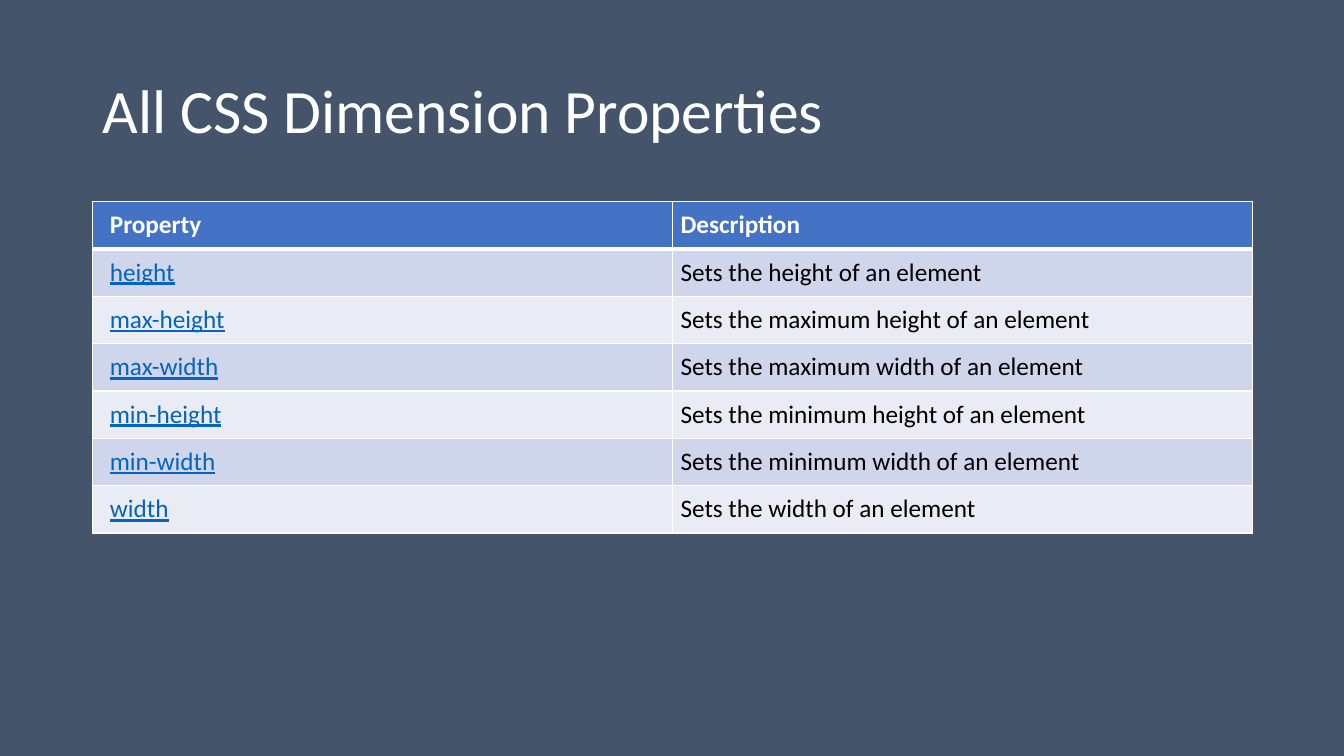
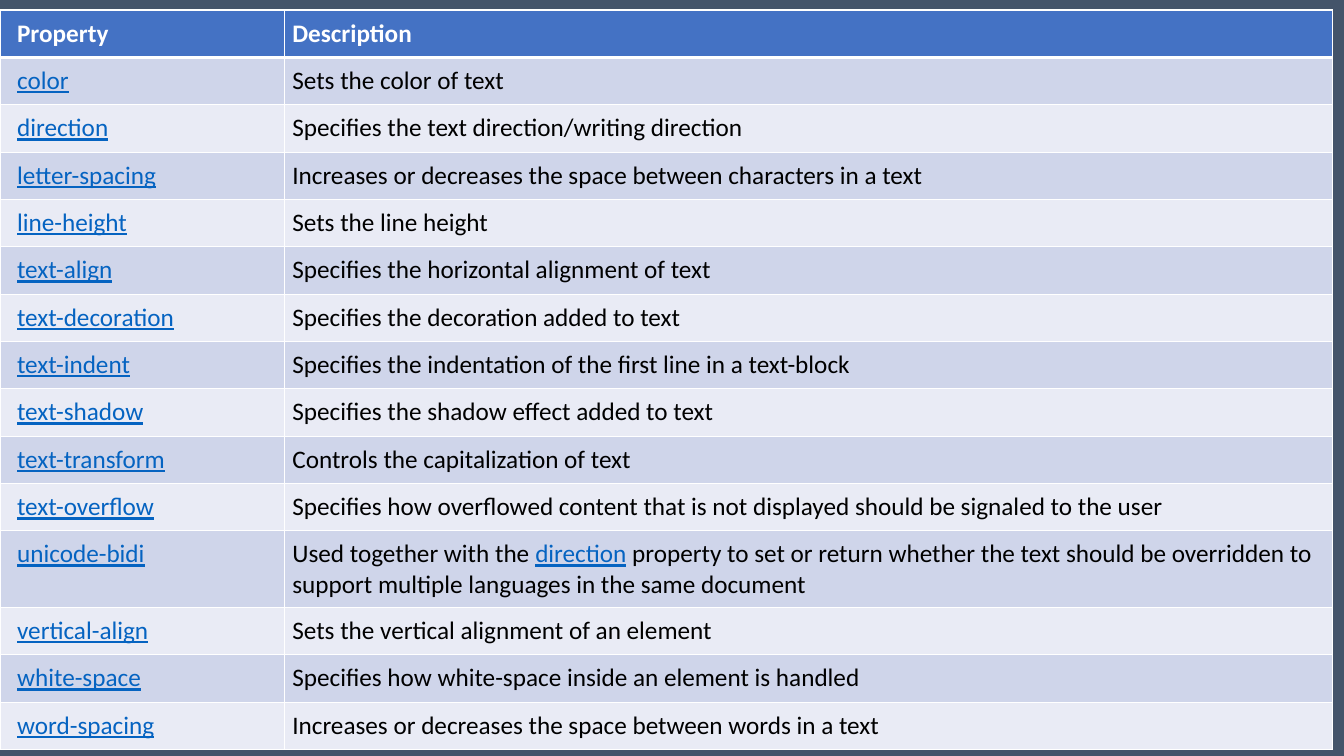
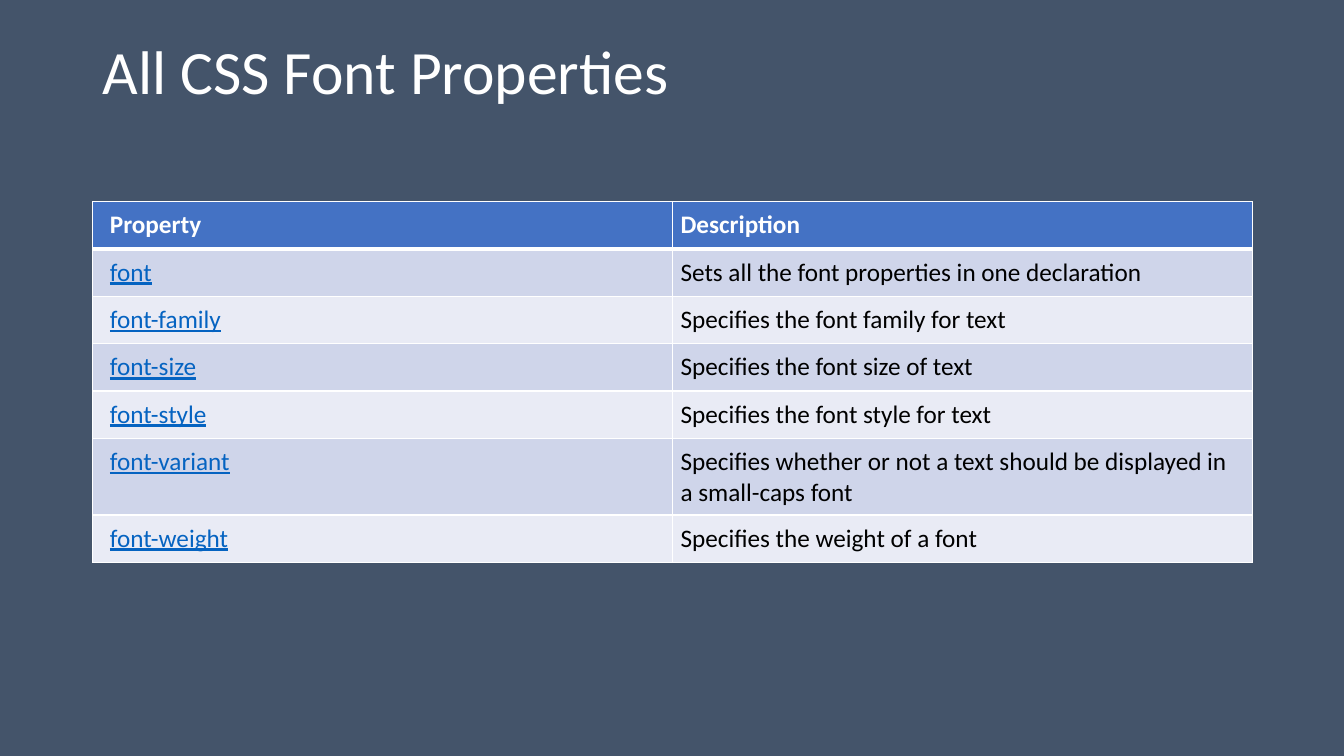
"""Build three slides of CSS property tables."""
import pptx
import pptx.dml.color
import pptx.enum.text
import pptx.oxml
import pptx.oxml.ns
import pptx.util

Inches, Pt = pptx.util.Inches, pptx.util.Pt
ANCHOR = pptx.enum.text.MSO_ANCHOR

FONT = "Calibri"
BACK, HEAD, BANDS = "44546A", "4472C4", ("CFD5EA", "E9EBF5")
WHITE, BLACK, LINK = "FFFFFF", "000000", "0563C1"
ROW, PAD, INDENT = 0.47, 0.08, 0.17
THIN, THICK = 1, 3
HEADER = ("Property", "Description")
WIDE = {"left": 0.92, "top": 2, "cols": (5.75, 5.75)}
FULL = {"left": 0, "top": 0.1, "cols": (2.82, 10.4)}

SLIDES = [
    {
        "title": "All CSS Dimension Properties",
        "anchor": ANCHOR.MIDDLE,
        "inset": 0.05,
        "grid": WIDE,
        "rows": [
            ("height", "Sets the height of an element"),
            ("max-height", "Sets the maximum height of an element"),
            ("max-width", "Sets the maximum width of an element"),
            ("min-height", "Sets the minimum height of an element"),
            ("min-width", "Sets the minimum width of an element"),
            ("width", "Sets the width of an element"),
        ],
    },
    {
        "grid": FULL,
        "rows": [
            ("color", "Sets the color of text"),
            ("direction", "Specifies the text direction/writing direction"),
            ("letter-spacing", "Increases or decreases the space between characters in a text"),
            ("line-height", "Sets the line height"),
            ("text-align", "Specifies the horizontal alignment of text"),
            ("text-decoration", "Specifies the decoration added to text"),
            ("text-indent", "Specifies the indentation of the first line in a text-block"),
            ("text-shadow", "Specifies the shadow effect added to text"),
            ("text-transform", "Controls the capitalization of text"),
            ("text-overflow", "Specifies how overflowed content that is not displayed "
                              "should be signaled to the user"),
            ("unicode-bidi", "Used together with the |direction| property to set or return "
                             "whether the text should be overridden to support multiple "
                             "languages in the same document"),
            ("vertical-align", "Sets the vertical alignment of an element"),
            ("white-space", "Specifies how white-space inside an element is handled"),
            ("word-spacing", "Increases or decreases the space between words in a text"),
        ],
    },
    {
        "title": "All CSS Font Properties",
        "anchor": ANCHOR.TOP,
        "inset": 0.01,
        "grid": WIDE,
        "rows": [
            ("font", "Sets all the font properties in one declaration"),
            ("font-family", "Specifies the font family for text"),
            ("font-size", "Specifies the font size of text"),
            ("font-style", "Specifies the font style for text"),
            ("font-variant", "Specifies whether or not a text should be displayed in "
                             "a small-caps font"),
            ("font-weight", "Specifies the weight of a font"),
        ],
    },
]


def paint(fill, color):
    fill.solid()
    fill.fore_color.rgb = pptx.dml.color.RGBColor.from_string(color)


def write(para, text, size, color, bold=False, line=False):
    run = para.add_run()
    run.text = text
    font = run.font
    font.name, font.size, font.bold, font.underline = FONT, Pt(size), bold, line
    paint(font.fill, color)


def edge(cell, side, width):
    props = cell._tc.get_or_add_tcPr()
    props.append(pptx.oxml.parse_xml(
        f'<a:ln{side} {pptx.oxml.ns.nsdecls("a")} w="{Pt(width)}"><a:solidFill>'
        f'<a:srgbClr val="{WHITE}"/></a:solidFill></a:ln{side}>'))


def style(cell, row, col):
    cell.margin_left = Inches(PAD if col else INDENT)
    cell.margin_right = cell.margin_top = cell.margin_bottom = Inches(PAD)
    for side in "LRTB":
        heavy = (row, side) in ((0, "B"), (1, "T"))
        edge(cell, side, THICK if heavy else THIN)
    paint(cell.fill, BANDS[(row - 1) % 2] if row else HEAD)


def add_title(slide, text, anchor, inset):
    box = slide.shapes.add_textbox(Inches(0.92), Inches(0.4), Inches(11.5), Inches(1.45))
    frame = box.text_frame
    frame.word_wrap = True
    frame.vertical_anchor = anchor
    frame.margin_top = Inches(inset)
    para = frame.paragraphs[0]
    para.line_spacing = 0.9
    write(para, text, 44, WHITE)


def add_grid(slide, grid, rows):
    lines = [HEADER, *rows]
    cols = grid["cols"]
    table = slide.shapes.add_table(
        len(lines), len(cols), Inches(grid["left"]), Inches(grid["top"]),
        Inches(sum(cols)), Inches(ROW * len(lines))).table
    table.horz_banding = False
    for col, width in enumerate(cols):
        table.columns[col].width = Inches(width)
    for row, line in enumerate(lines):
        table.rows[row].height = Inches(ROW)
        for col, text in enumerate(line):
            cell = table.cell(row, col)
            style(cell, row, col)
            para = cell.text_frame.paragraphs[0]
            if row == 0:
                write(para, text, 18, WHITE, bold=True)
                continue
            for turn, part in enumerate(text.split("|")):
                link = col == 0 or turn % 2 == 1
                write(para, part, 18, LINK if link else BLACK, line=link)


def main():
    deck = pptx.Presentation()
    deck.slide_width, deck.slide_height = Inches(13.33), Inches(7.5)
    paint(deck.slide_master.background.fill, BACK)
    for item in SLIDES:
        slide = deck.slides.add_slide(deck.slide_layouts[6])
        if "title" in item:
            add_title(slide, item["title"], item["anchor"], item["inset"])
        add_grid(slide, item["grid"], item["rows"])
    deck.save("out.pptx")


if __name__ == "__main__":
    main()
